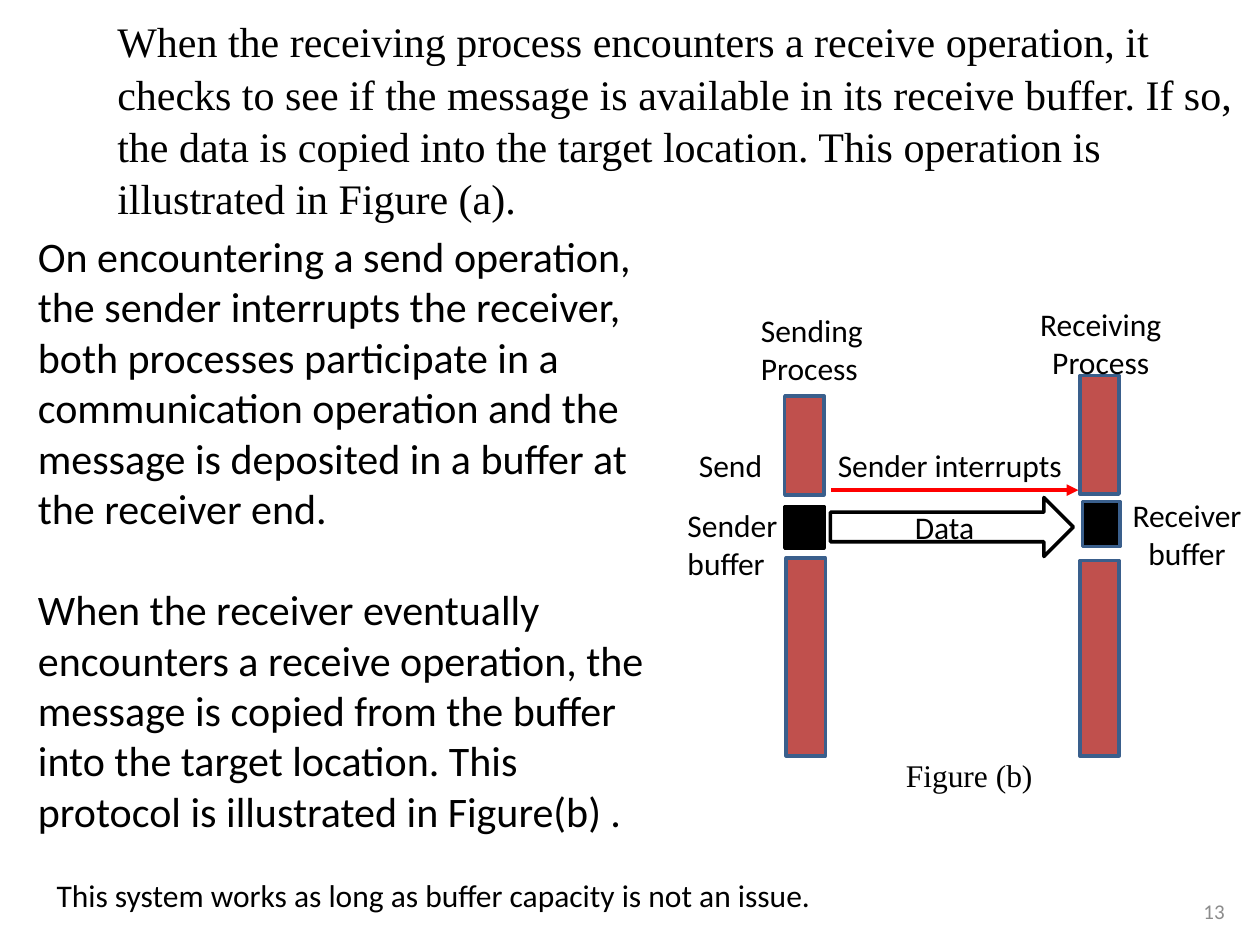
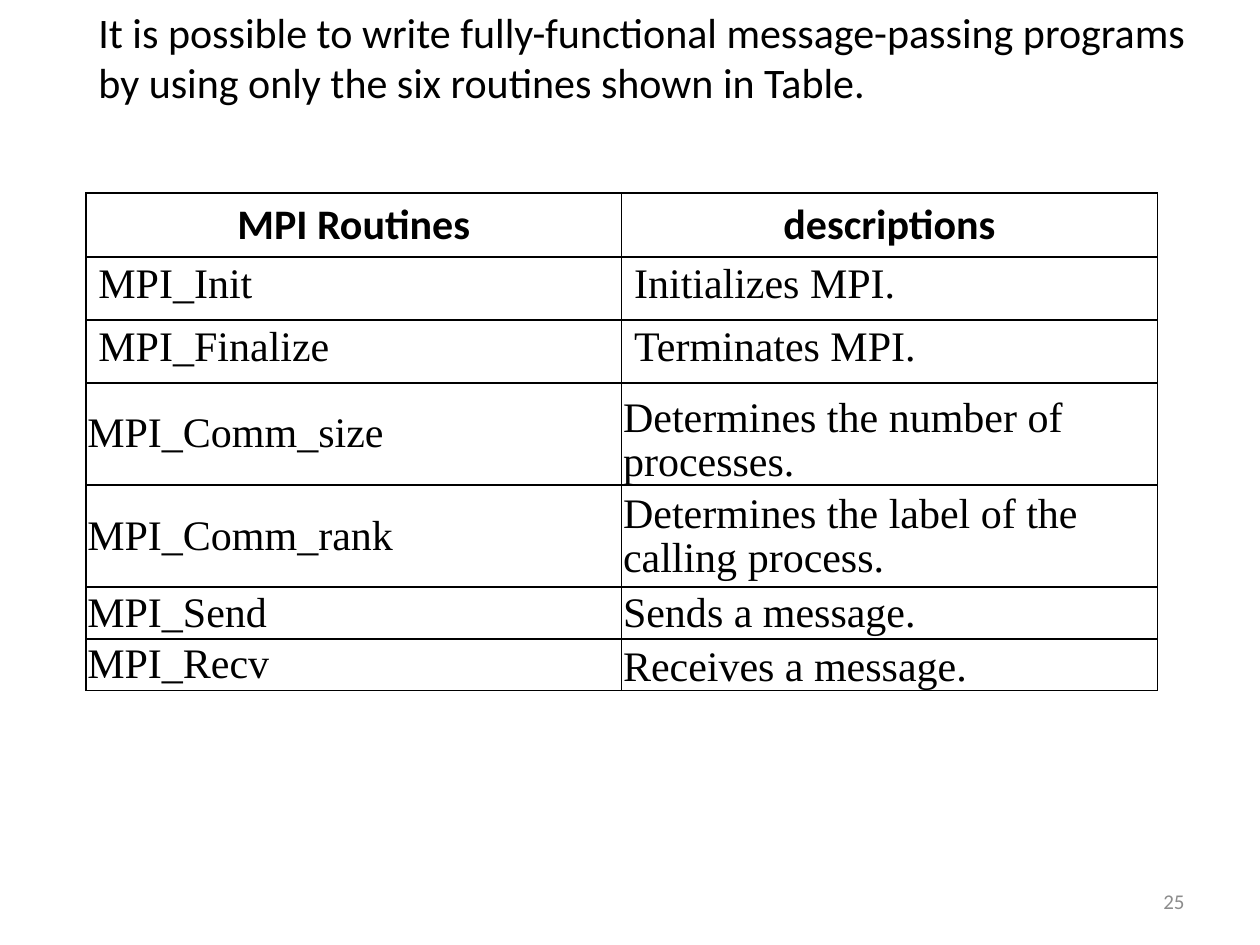
"""Builds two slides on buffered message passing and the basic MPI routines."""
from dataclasses import dataclass
from typing import Optional

from lxml.etree import SubElement
from pptx import Presentation
from pptx.dml.color import RGBColor
from pptx.enum.shapes import MSO_CONNECTOR as LineKind, MSO_SHAPE as Preset
from pptx.enum.text import MSO_ANCHOR as Anchor, MSO_AUTO_SIZE as AutoSize, PP_ALIGN as Align
from pptx.oxml.ns import qn
from pptx.util import Cm, Pt

COLOURS = {
    "text": "000000",
    "number": "8C8C8C",
    "process": "C0504D",
    "outline": "3A5F8C",
    "buffer": "000000",
    "interrupt": "FF0000",
}
SANS, SERIF = "Calibri", "Times New Roman"
BODY, LABEL, SMALL = 24, 18, 12
BAR_WIDTH = 0.79


@dataclass(frozen=True)
class Area:
    left: float
    top: float
    width: float
    height: float

    def lengths(self) -> tuple:
        return Cm(self.left), Cm(self.top), Cm(self.width), Cm(self.height)


@dataclass(frozen=True)
class Style:
    size: int = LABEL
    font: str = SANS
    colour: str = "text"
    bold: bool = False
    align: Align = Align.LEFT
    spacing: float = 1.0
    gap: float = 0


@dataclass(frozen=True)
class Label:
    area: Area
    text: str
    style: Style = Style()
    wrap: bool = True


@dataclass(frozen=True)
class Block:
    area: Area
    fill: Optional[str] = "process"
    line: str = "outline"
    preset: Preset = Preset.RECTANGLE


@dataclass(frozen=True)
class Routine:
    name: str
    description: str
    height: float
    tight: bool = True
    anchor: Anchor = Anchor.MIDDLE


CENTRED = Style(align=Align.CENTER)
SANS_BODY = Style(BODY)
SERIF_TITLE = Style(BODY, SERIF, spacing=1.04)
NUMBER = Style(SMALL, colour="number", align=Align.RIGHT)
TABLE_HEAD = Style(BODY, bold=True, align=Align.CENTER)
TABLE_TEXT = Style(BODY, SERIF, spacing=0.95)

BLOCKS = [
    Block(Area(15.82, 7.98, BAR_WIDTH, 2)),
    Block(Area(15.82, 10.21, BAR_WIDTH, 0.84), "buffer", "buffer"),
    Block(Area(15.85, 11.25, BAR_WIDTH, 3.99)),
    Block(Area(21.77, 7.57, BAR_WIDTH, 2.39)),
    Block(Area(21.82, 10.11, 0.76, 0.91), "buffer"),
    Block(Area(21.77, 11.3, BAR_WIDTH, 3.94)),
]
DATA_ARROW = Block(Area(16.74, 10.03, 4.9, 1.19), None, "text", Preset.RIGHT_ARROW)

LABELS = [
    Label(Area(20.6, 6.02, 3.18, 1.8), "Receiving\nProcess", CENTRED),
    Label(Area(13.84, 8.86, 1.98, 1.02), "Send"),
    Label(Area(13.61, 10.08, 2.79, 1.8), "Sender buffer"),
    Label(Area(22.56, 9.88, 2.74, 1.8), "Receiver\nbuffer", CENTRED),
    Label(Area(18.01, 15.11, 3.1, 1.02), "Figure (b)", Style(font=SERIF), wrap=False),
    Label(Area(15.09, 6.15, 3.96, 1.8), "Sending\nProcess"),
    Label(Area(16.64, 8.86, 5.11, 1.02), "Sender interrupts"),
    Label(Area(0.89, 17.53, 22.2, 1.02),
          "This system works as long as buffer capacity is not an issue."),
]

ROUTINES = [
    Routine("MPI_Init", "Initializes MPI.", 1.27, False, Anchor.TOP),
    Routine("MPI_Finalize", "Terminates MPI.", 1.27, False, Anchor.TOP),
    Routine("MPI_Comm_size", "Determines the number of processes.", 2.06,
            anchor=Anchor.BOTTOM),
    Routine("MPI_Comm_rank", "Determines the label of the calling process.", 2.06),
    Routine("MPI_Send", "Sends a message.", 1.04),
    Routine("MPI_Recv", "Receives a message.", 1.04, anchor=Anchor.BOTTOM),
]


def rgb(name: str) -> RGBColor:
    return RGBColor.from_string(COLOURS[name])


def apply(target, values: dict) -> None:
    for name, value in values.items():
        setattr(target, name, value)


def write(frame, text: str, style: Style) -> None:
    for index, line in enumerate(text.split("\n")):
        para = frame.paragraphs[0] if index == 0 else frame.add_paragraph()
        apply(para, {"alignment": style.align, "line_spacing": style.spacing,
                     "space_before": Pt(style.gap if index else 0)})
        span = para.add_run()
        span.text = line
        apply(span.font, {"size": Pt(style.size), "name": style.font, "bold": style.bold})
        span.font.color.rgb = rgb(style.colour)


def fill_placeholder(box, area: Area, text: str, style: Style) -> None:
    left, top, width, height = area.lengths()
    apply(box, {"left": left, "top": top, "width": width, "height": height})
    apply(box.text_frame, {"word_wrap": True, "auto_size": AutoSize.NONE,
                           "vertical_anchor": Anchor.TOP})
    write(box.text_frame, text, style)


def remove_bullets(frame) -> None:
    for para in frame.paragraphs:
        properties = para._p.get_or_add_pPr()
        properties.set("marL", "0")
        properties.set("indent", "0")
        SubElement(properties, qn("a:buNone"))


def add_label(page, label: Label, anchor: Anchor = Anchor.TOP) -> None:
    box = page.shapes.add_textbox(*label.area.lengths())
    apply(box.text_frame, {"word_wrap": label.wrap, "vertical_anchor": anchor})
    write(box.text_frame, label.text, label.style)


def add_number(page, left: float, top: float, number: int) -> None:
    add_label(page, Label(Area(left, top, 5.92, 1.02), str(number), NUMBER), Anchor.MIDDLE)


def add_block(page, block: Block):
    shape = page.shapes.add_shape(block.preset, *block.area.lengths())
    shape.shadow.inherit = False
    if block.fill:
        shape.fill.solid()
        shape.fill.fore_color.rgb = rgb(block.fill)
    else:
        shape.fill.background()
    shape.line.color.rgb = rgb(block.line)
    shape.line.width = Pt(2)
    return shape


def add_interrupt(page, start: float, end: float, level: float) -> None:
    line = page.shapes.add_connector(LineKind.STRAIGHT, Cm(start), Cm(level), Cm(end), Cm(level))
    line.line.color.rgb = rgb("interrupt")
    line.line.width = Pt(2.25)
    SubElement(line.line._get_or_add_ln(), qn("a:tailEnd"), type="triangle")
    SubElement(line._element.spPr, qn("a:effectLst"))


def outline_cell(cell) -> None:
    properties = cell._tc.get_or_add_tcPr()
    for side in ("lnL", "lnR", "lnT", "lnB"):
        border = SubElement(properties, qn(f"a:{side}"), w=str(Pt(1)))
        fill = SubElement(border, qn("a:solidFill"))
        SubElement(fill, qn("a:srgbClr"), val=COLOURS["text"])
    cell.fill.background()


def add_cell(cell, text: str, style: Style, tight: bool, anchor: Anchor) -> None:
    outline_cell(cell)
    cell.vertical_anchor = anchor
    if tight:
        apply(cell, {"margin_left": Cm(0.03), "margin_right": Cm(0.03),
                     "margin_top": Cm(0.03), "margin_bottom": 0})
    write(cell.text_frame, text, style)


def add_routine_table(page, left: float, top: float, column: float) -> None:
    rows = [Routine("MPI Routines", "descriptions", 1.27, False, Anchor.TOP), *ROUTINES]
    area = Area(left, top, 2 * column, sum(row.height for row in rows))
    table = page.shapes.add_table(len(rows), 2, *area.lengths()).table
    apply(table, {"first_row": False, "horz_banding": False})
    for index, row in enumerate(rows):
        table.rows[index].height = Cm(row.height)
        style = TABLE_TEXT if index else TABLE_HEAD
        name_anchor = Anchor.MIDDLE if row.tight else Anchor.TOP
        add_cell(table.cell(index, 0), row.name, style, row.tight, name_anchor)
        add_cell(table.cell(index, 1), row.description, style, row.tight, row.anchor)


def build_buffer_page(deck) -> None:
    page = deck.slides.add_slide(deck.slide_layouts[1])
    fill_placeholder(
        page.shapes.title, Area(2.11, 0.15, 23.01, 4.37),
        "When the receiving process encounters a receive operation, it checks to see if the "
        "message is available in its receive buffer. If so, the data is copied into the target "
        "location. This operation is illustrated in Figure (a).", SERIF_TITLE)
    body = page.placeholders[1]
    fill_placeholder(
        body, Area(0.51, 4.52, 12.8, 12.57),
        "On encountering a send operation, the sender interrupts the receiver, both processes "
        "participate in a communication operation and the message is deposited in a buffer at "
        "the receiver end.\n"
        "When the receiver eventually encounters a receive operation, the message is copied "
        "from the buffer into the target location. This protocol is illustrated in Figure(b) .",
        Style(BODY, gap=29))
    remove_bullets(body.text_frame)
    for block in BLOCKS:
        add_block(page, block)
    arrow = add_block(page, DATA_ARROW)
    arrow.text_frame.vertical_anchor = Anchor.MIDDLE
    write(arrow.text_frame, "Data", CENTRED)
    add_interrupt(page, 16.76, 21.74, 9.88)
    for label in LABELS:
        add_label(page, label)
    add_number(page, 19.02, 17.86, 13)


def build_routines_page(deck) -> None:
    page = deck.slides.add_slide(deck.slide_layouts[5])
    fill_placeholder(
        page.shapes.title, Area(1.73, 0, 23.16, 10.52),
        "It is possible to write fully-functional message-passing programs by using only the "
        "six routines shown in Table.", SANS_BODY)
    add_routine_table(page, 1.73, 3.89, 10.8)
    add_number(page, 18.21, 17.65, 25)


def main() -> None:
    deck = Presentation()
    apply(deck, {"slide_width": Cm(25.4), "slide_height": Cm(19.05)})
    build_buffer_page(deck)
    build_routines_page(deck)
    deck.save("out.pptx")


if __name__ == "__main__":
    main()
